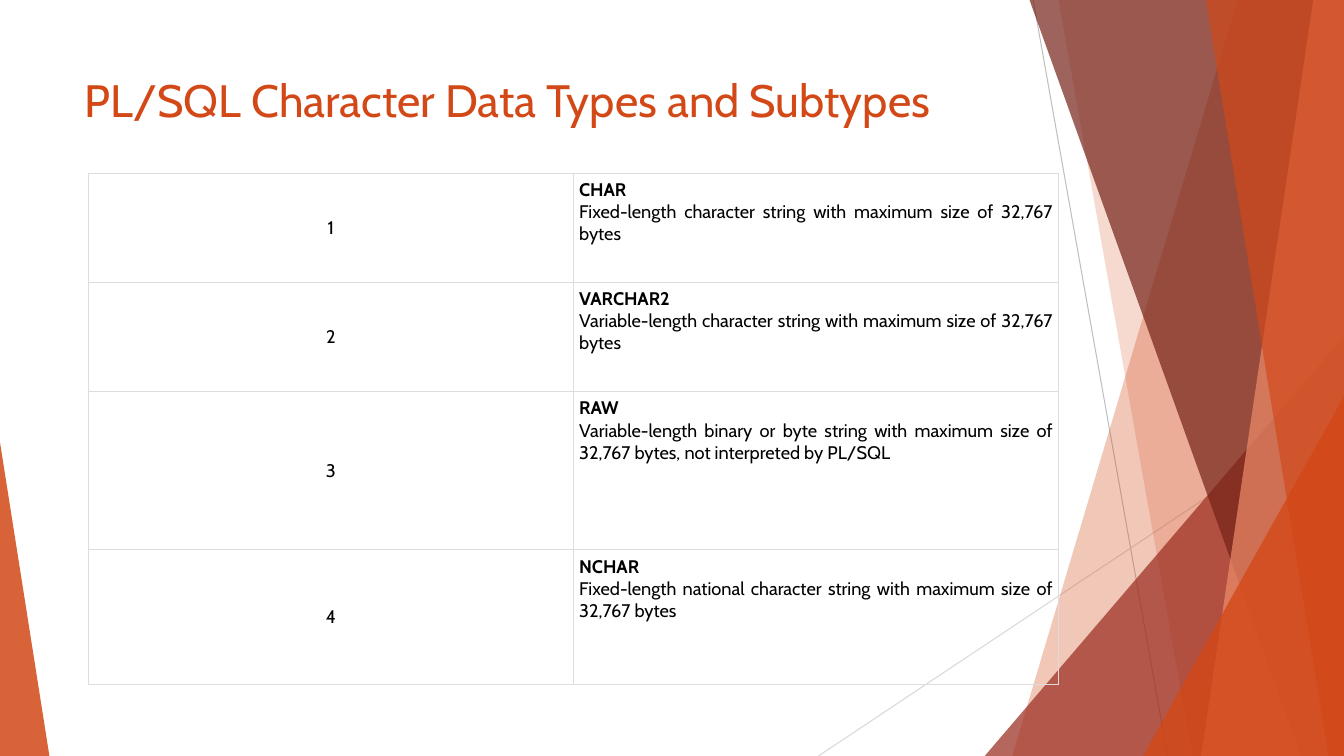
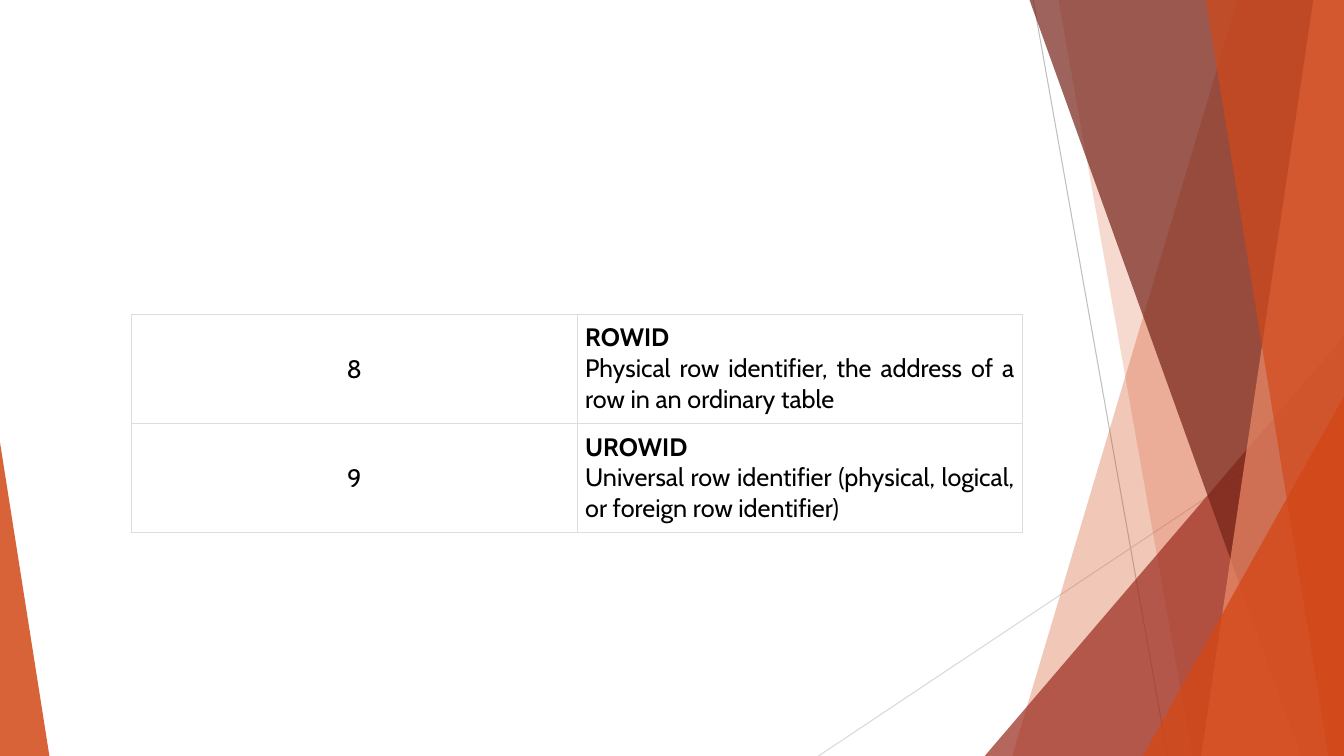
"""Build two slides on PL/SQL character data types with a faceted background."""
from dataclasses import dataclass

from lxml import etree
from pptx import Presentation
from pptx import util as u
from pptx.dml.color import RGBColor
from pptx.enum import shapes, text
from pptx.oxml import ns

Pt = u.Pt
Point = tuple[float, float]


@dataclass(frozen=True)
class Theme:
    font: str = "Cabin"
    accent: str = "D34817"
    brick: str = "9B2D1F"
    maroon: str = "742217"
    salmon: str = "EF8C6A"
    ink: str = "000000"
    border: str = "DDDDDD"
    ray_dark: str = "BFBFBF"
    ray_light: str = "D9D9D9"
    title_size: float = 32.4
    hairline: float = 0.75


@dataclass(frozen=True)
class Ray:
    start: Point
    end: Point
    color: str


@dataclass(frozen=True)
class Band:
    """A facet running from the top edge to the bottom edge, flush right."""
    top_left: float
    bottom_left: float
    color: str
    opacity: int


@dataclass(frozen=True)
class Wedge:
    """A triangle standing on the bottom edge with its apex at one side."""
    left: float
    top: float
    width: float
    apex: float
    color: str
    opacity: int


@dataclass(frozen=True)
class DataType:
    number: int
    name: str
    description: str


@dataclass(frozen=True)
class TypeTable:
    left: float
    top: float
    column_width: float
    row_heights: tuple[float, ...]
    inset: float
    size: float
    data_types: tuple[DataType, ...]


THEME = Theme()
WIDTH, HEIGHT = 960, 540
BAND_TOP = -0.6

BACKGROUND = (
    Ray((738, 0), (834, HEIGHT), THEME.ray_dark),
    Ray((WIDTH, 290), (584.6, HEIGHT), THEME.ray_light),
    Band(884.2, 723, THEME.accent, 30),
    Band(756, 851.8, THEME.accent, 20),
    Wedge(703.4, 240, 256.6, 1, THEME.brick, 72),
    Band(735.2, 929.5, THEME.maroon, 70),
    Band(938.2, 858, THEME.salmon, 70),
    Band(861.2, 949, THEME.accent, 65),
    Wedge(816.5, 283, 143.5, 1, THEME.accent, 80),
    Wedge(0, 316, 35.3, 0, THEME.accent, 85),
)

CHARACTER_TYPES = TypeTable(63.2, 123.8, 346.3, (78, 78, 113, 96), 4.2, 13, (
    DataType(1, "CHAR", "Fixed-length character string with maximum size of 32,767 bytes"),
    DataType(2, "VARCHAR2", "Variable-length character string with maximum size of 32,767 bytes"),
    DataType(3, "RAW", "Variable-length binary or byte string with maximum size of "
                       "32,767 bytes, not interpreted by PL/SQL"),
    DataType(4, "NCHAR", "Fixed-length national character string with maximum size of 32,767 bytes"),
))
ROW_TYPES = TypeTable(94.0, 224.6, 318.2, (78, 78), 5.8, 18, (
    DataType(8, "ROWID", "Physical row identifier, the address of a row in an ordinary table"),
    DataType(9, "UROWID", "Universal row identifier (physical, logical, or foreign row identifier)"),
))


def add_ray(slide, ray: Ray) -> None:
    connector = slide.shapes.add_connector(
        shapes.MSO_CONNECTOR.STRAIGHT, *map(Pt, ray.start + ray.end))
    connector.line.color.rgb = RGBColor.from_string(ray.color)
    connector.line.width = Pt(THEME.hairline)
    etree.SubElement(connector.element.spPr, ns.qn("a:effectLst"))


def paint(shape, color: str, opacity: int) -> None:
    shape.shadow.inherit = False
    shape.line.fill.background()
    shape.fill.solid()
    shape.fill.fore_color.rgb = RGBColor.from_string(color)
    color_element = shape.element.spPr.find(ns.qn("a:solidFill"))[0]
    etree.SubElement(color_element, ns.qn("a:alpha"), val=str(opacity * 1000))


def add_band(slide, band: Band) -> None:
    builder = slide.shapes.build_freeform(Pt(band.top_left), Pt(BAND_TOP))
    corners = ((WIDTH, BAND_TOP), (WIDTH, HEIGHT), (band.bottom_left, HEIGHT))
    builder.add_line_segments([(Pt(x), Pt(y)) for x, y in corners], close=True)
    paint(builder.convert_to_shape(), band.color, band.opacity)


def add_wedge(slide, wedge: Wedge) -> None:
    shape = slide.shapes.add_shape(
        shapes.MSO_SHAPE.ISOSCELES_TRIANGLE, Pt(wedge.left), Pt(wedge.top),
        Pt(wedge.width), Pt(HEIGHT - wedge.top))
    shape.adjustments[0] = wedge.apex
    paint(shape, wedge.color, wedge.opacity)


def add_background(slide) -> None:
    painters = {Ray: add_ray, Band: add_band, Wedge: add_wedge}
    for part in BACKGROUND:
        painters[type(part)](slide, part)


def add_run(paragraph, words: str, size: float, color: str, bold: bool = False) -> None:
    run = paragraph.add_run()
    run.text = words
    run.font.name = THEME.font
    run.font.size = Pt(size)
    run.font.bold = bold
    run.font.color.rgb = RGBColor.from_string(color)


def add_title(slide, words: str) -> None:
    box = slide.shapes.add_textbox(Pt(53.3), Pt(48.2), Pt(676.8), Pt(103.7))
    box.text_frame.word_wrap = True
    add_run(box.text_frame.paragraphs[0], words, THEME.title_size, THEME.accent)


def style_cell(cell, inset: float) -> None:
    cell.margin_left = cell.margin_right = Pt(inset)
    cell.margin_top = cell.margin_bottom = Pt(inset)
    properties = cell._tc.get_or_add_tcPr()
    for side in ("lnL", "lnR", "lnT", "lnB"):
        line = etree.SubElement(properties, ns.qn(f"a:{side}"), w=str(Pt(THEME.hairline)))
        fill = etree.SubElement(line, ns.qn("a:solidFill"))
        etree.SubElement(fill, ns.qn("a:srgbClr"), val=THEME.border)
    cell.fill.background()


def add_type_table(slide, content: TypeTable) -> None:
    table = slide.shapes.add_table(
        len(content.data_types), 2, Pt(content.left), Pt(content.top),
        Pt(2 * content.column_width), Pt(sum(content.row_heights))).table
    table.first_row = table.horz_banding = False
    for column in table.columns:
        column.width = Pt(content.column_width)
    for row, height, data_type in zip(table.rows, content.row_heights, content.data_types):
        row.height = Pt(height)
        number_cell, type_cell = row.cells
        for cell in (number_cell, type_cell):
            style_cell(cell, content.inset)

        number_cell.vertical_anchor = text.MSO_ANCHOR.MIDDLE
        paragraph = number_cell.text_frame.paragraphs[0]
        paragraph.alignment = text.PP_ALIGN.CENTER
        add_run(paragraph, str(data_type.number), content.size, THEME.ink)

        frame = type_cell.text_frame
        name, description = frame.paragraphs[0], frame.add_paragraph()
        name.alignment = description.alignment = text.PP_ALIGN.JUSTIFY
        add_run(name, data_type.name, content.size, THEME.ink, bold=True)
        add_run(description, data_type.description, content.size, THEME.ink)


def add_slide(presentation, content: TypeTable, title: str = "") -> None:
    slide = presentation.slides.add_slide(presentation.slide_layouts[6])
    add_background(slide)
    if title:
        add_title(slide, title)
    add_type_table(slide, content)


def main() -> None:
    presentation = Presentation()
    presentation.slide_width, presentation.slide_height = Pt(WIDTH), Pt(HEIGHT)
    add_slide(presentation, CHARACTER_TYPES, "PL/SQL Character Data Types and Subtypes")
    add_slide(presentation, ROW_TYPES)
    presentation.save("out.pptx")


if __name__ == "__main__":
    main()
